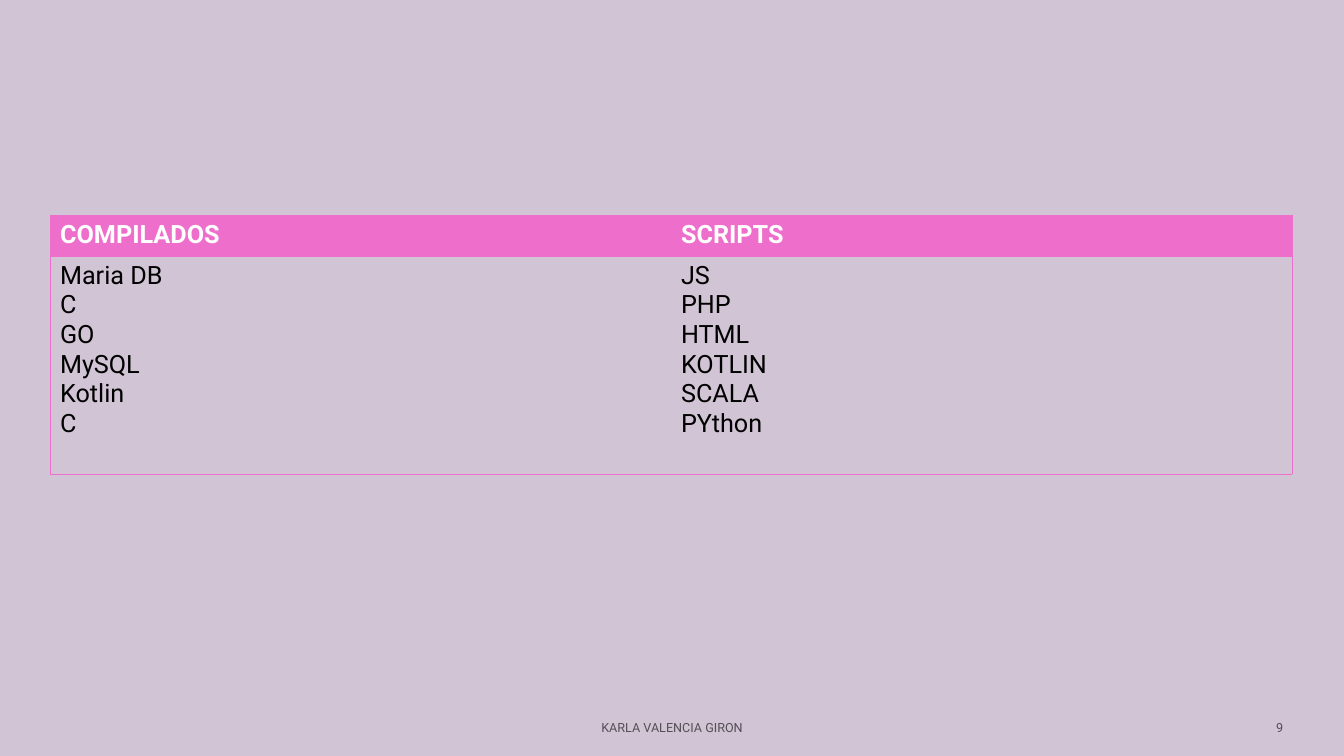
import pptx
import pptx.util
import pptx.dml.color
import pptx.enum.shapes
import pptx.enum.text
import pptx.oxml
import pptx.oxml.ns

PX = 12192000 / 1344
PINK = "EE6ECB"
ALIGN = pptx.enum.text.PP_ALIGN


def px(length):
    return pptx.util.Emu(round(length * PX))


def paint(fill, color, opacity=100):
    fill.solid()
    fill.fore_color.rgb = pptx.dml.color.RGBColor.from_string(color)
    if opacity < 100:
        tint = fill._xPr.find(".//" + pptx.oxml.ns.qn("a:srgbClr"))
        alpha = pptx.oxml.parse_xml(f'<a:alpha {pptx.oxml.ns.nsdecls("a")} val="{opacity * 1000}"/>')
        tint.append(alpha)


deck = pptx.Presentation()
deck.slide_width, deck.slide_height = px(1344), px(756)
page = deck.slides.add_slide(deck.slide_layouts[6])

# Background with a translucent veil
paint(page.background.fill, "CAA8F5")
veil = page.shapes.add_shape(pptx.enum.shapes.MSO_SHAPE.RECTANGLE, 0, 0, px(1344), px(756))
veil.shadow.inherit = False
veil.line.fill.background()
paint(veil.fill, "D4D0C8", 70)

# Language table
columns = [
    ("COMPILADOS", ["Maria DB", "C", "GO", "MySQL", "Kotlin", "C"]),
    ("SCRIPTS", ["JS", "PHP", "HTML", "KOTLIN", "SCALA", "PYthon"]),
]
table = page.shapes.add_table(2, 2, px(50), px(215), px(1242), px(259)).table
table.first_row = table.horz_banding = False
table.rows[0].height, table.rows[1].height = px(41), px(218)

for column, (heading, languages) in enumerate(columns):
    table.columns[column].width = px(621)
    for row, lines in enumerate([[heading], languages]):
        cell = table.cell(row, column)

        # Pink outer borders and header top, no inner lines
        shown = {"L": column == 0, "R": column == 1, "T": True, "B": row == 1}
        properties = cell._tc.get_or_add_tcPr()
        for side, visible in shown.items():
            stroke = f'<a:solidFill><a:srgbClr val="{PINK}"/></a:solidFill>' if visible else "<a:noFill/>"
            properties.append(pptx.oxml.parse_xml(
                f'<a:ln{side} {pptx.oxml.ns.nsdecls("a")} w="6350">{stroke}</a:ln{side}>'))
        if row == 0:
            paint(cell.fill, PINK)
        else:
            cell.fill.background()

        for number, line in enumerate(lines):
            frame = cell.text_frame
            para = frame.add_paragraph() if number else frame.paragraphs[0]
            span = para.add_run()
            span.text = line
            span.font.name = "Roboto"
            span.font.size = pptx.util.Pt(18)
            span.font.bold = row == 0
            paint(span.font.fill, "000000" if row else "FFFFFF")

# Footer: page number and author
footers = [
    ("9", 991, 302, ALIGN.RIGHT),
    ("KARLA VALENCIA GIRON", 445, 454, ALIGN.CENTER),
]
for words, left, width, alignment in footers:
    box = page.shapes.add_textbox(px(left), px(708), px(width), px(40))
    box.text_frame.word_wrap = True
    box.text_frame.vertical_anchor = pptx.enum.text.MSO_ANCHOR.MIDDLE
    para = box.text_frame.paragraphs[0]
    para.alignment = alignment
    span = para.add_run()
    span.text = words
    span.font.name = "Roboto"
    span.font.size = pptx.util.Pt(9)
    paint(span.font.fill, "000000", 60)

deck.save("out.pptx")
